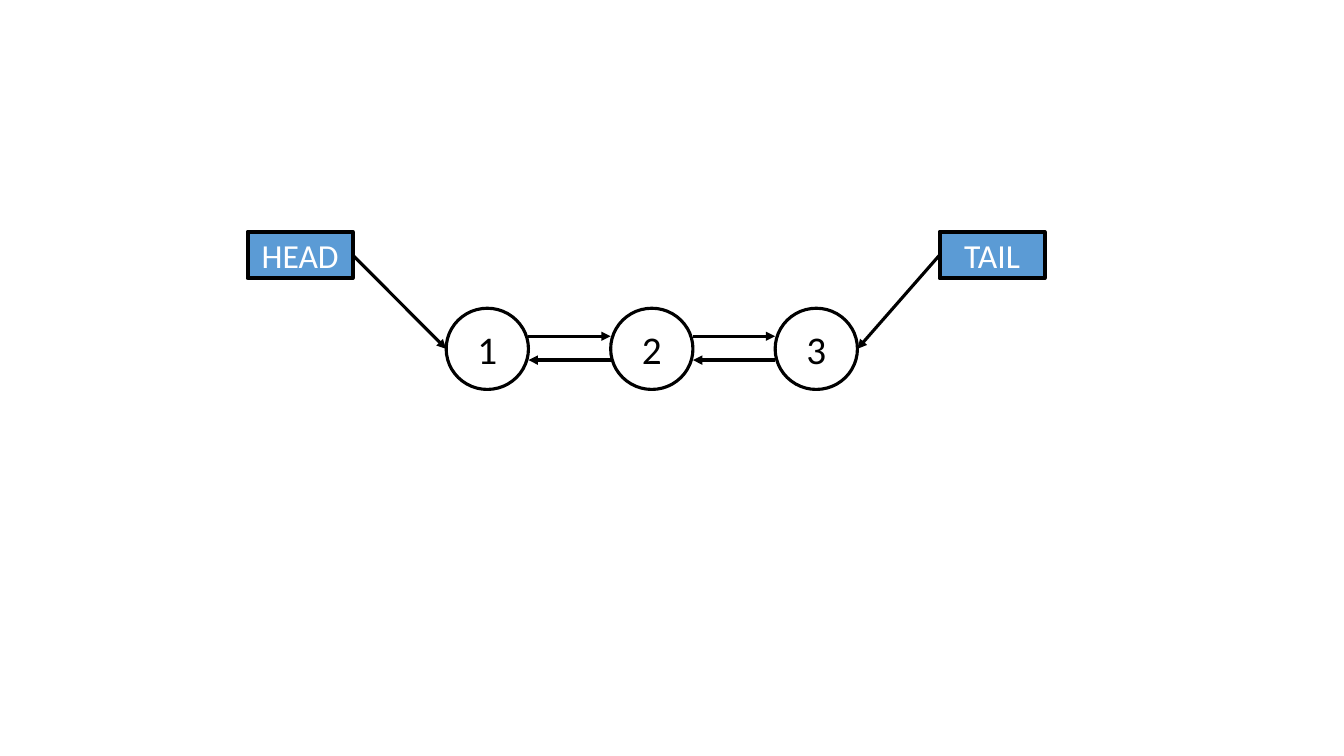
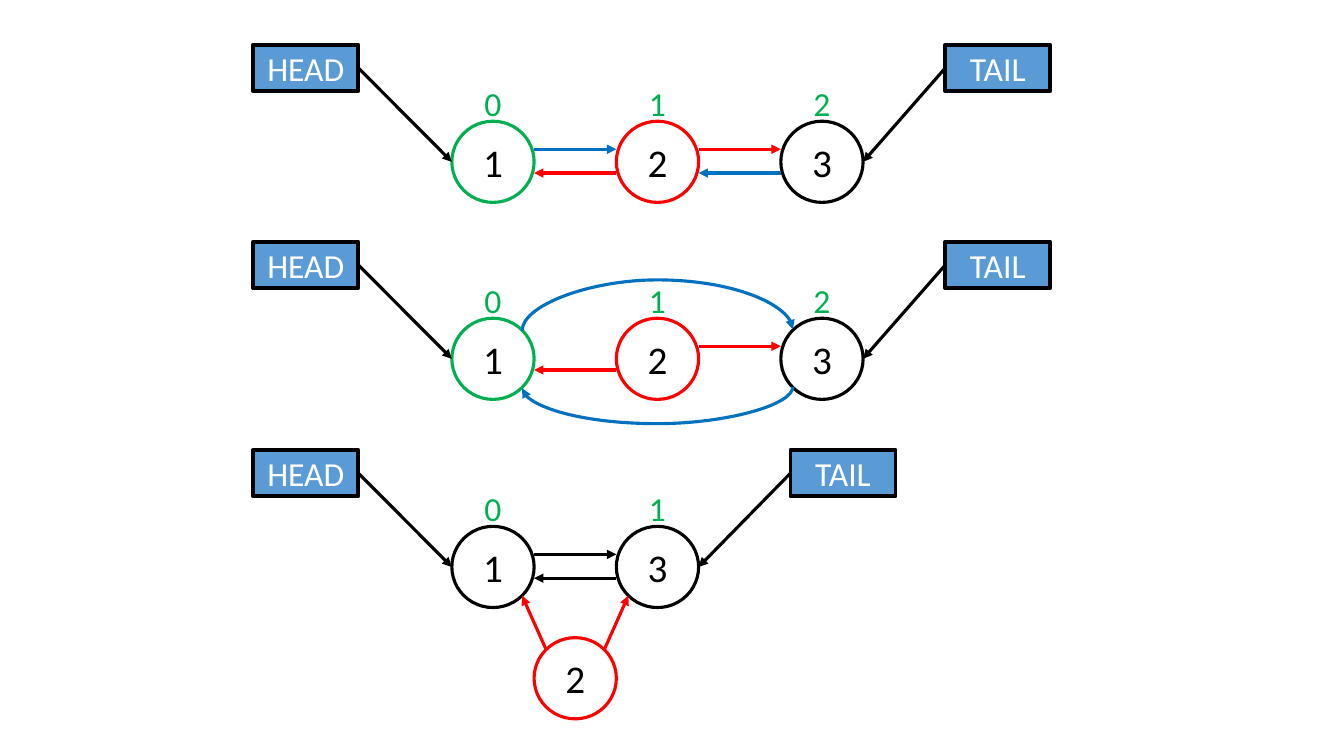
"""Draw a doubly linked list and the removal of its middle node."""
from dataclasses import dataclass

from lxml.etree import SubElement
from pptx import Presentation
from pptx.dml.color import RGBColor
from pptx.enum.shapes import MSO_CONNECTOR, MSO_SHAPE
from pptx.enum.text import MSO_ANCHOR, MSO_AUTO_SIZE, PP_ALIGN
from pptx.oxml.ns import qn
from pptx.util import Pt


@dataclass(frozen=True)
class Theme:
    """Colours, type sizes and line widths."""
    black: RGBColor = RGBColor(0, 0, 0)
    white: RGBColor = RGBColor(255, 255, 255)
    red: RGBColor = RGBColor.from_string("FF0000")
    green: RGBColor = RGBColor.from_string("00B050")
    blue: RGBColor = RGBColor.from_string("0070C0")
    box_fill: RGBColor = RGBColor.from_string("5B9BD5")
    font: str = "Calibri"
    node_size: int = 28
    label_size: int = 24
    line: float = 2.25
    box_line: float = 2.75


T = Theme()
NODE_W, NODE_H = 58.75, 58
PITCH = 2 * NODE_W
CORNER = 0.146
NEXT_Y, PREV_Y = 20, 37
BOX_W, BOX_H, BOX_RISE = 75, 33.3, 54.7
HEAD_GAP, TAIL_GAP = 66.8, 58.75
INDEX_W, INDEX_H, INDEX_RISE = 38.2, 36.35, 31.2


def write(shape, text, size, color):
    """Put one centred line of text in a shape."""
    tf = shape.text_frame
    tf.word_wrap = True
    p = tf.paragraphs[0]
    p.text = text
    p.alignment = PP_ALIGN.CENTER
    p.font.name, p.font.size = T.font, Pt(size)
    p.font.color.rgb = color
    return tf


def outlined(s, kind, x, y, w, h, color, width):
    """Add an unfilled preset shape with an outline."""
    sp = s.shapes.add_shape(kind, Pt(x), Pt(y), Pt(w), Pt(h))
    sp.shadow.inherit = False
    sp.fill.background()
    sp.line.color.rgb, sp.line.width = color, Pt(width)
    return sp


def node(s, x, y, text, color=T.black):
    """Add a round list node."""
    sp = outlined(s, MSO_SHAPE.OVAL, x, y, NODE_W, NODE_H, color, T.line)
    write(sp, text, T.node_size, T.black).vertical_anchor = MSO_ANCHOR.MIDDLE


def pointer_box(s, x, y, text):
    """Add a filled HEAD or TAIL box."""
    sp = outlined(s, MSO_SHAPE.RECTANGLE, x, y, BOX_W, BOX_H, T.black, T.box_line)
    sp.fill.solid()
    sp.fill.fore_color.rgb = T.box_fill
    write(sp, text, T.label_size, T.white).vertical_anchor = MSO_ANCHOR.MIDDLE


def index_label(s, x, y, text):
    """Add an index centred above the node at x, y."""
    left = x + (NODE_W - INDEX_W) / 2
    tb = s.shapes.add_textbox(Pt(left), Pt(y - INDEX_RISE), Pt(INDEX_W), Pt(INDEX_H))
    write(tb, text, T.label_size, T.green).auto_size = MSO_AUTO_SIZE.SHAPE_TO_FIT_TEXT


def arrow(s, start, end, color=T.black, kind=MSO_CONNECTOR.STRAIGHT):
    """Add a connector with an arrowhead at its end."""
    c = s.shapes.add_connector(kind, *map(Pt, (*start, *end)))
    c.line.color.rgb, c.line.width = color, Pt(T.line)
    spPr = c._element.spPr
    SubElement(spPr.find(qn("a:ln")), qn("a:tailEnd"), type="triangle")
    SubElement(spPr, qn("a:effectLst"))
    return c


def arc(s, x0, x1, y, bend):
    """Add a curved arrow that bends up going right and down going left."""
    mid, half = (x0 + x1) / 2, (x1 - x0) / 2
    side = 0.5 if half > 0 else -0.5
    c = arrow(s, (mid + side, y + half), (mid - side, y - half), T.blue, MSO_CONNECTOR.CURVE)
    spPr = c._element.spPr
    spPr.find(qn("a:xfrm")).set("rot", "5400000")
    av = spPr.find(qn("a:prstGeom")).get_or_add_avLst()
    SubElement(av, qn("a:gd"), name="adj1", fmla=f"val {round(bend * 100000)}")


def corner(x, y, right, bottom):
    """Return a diagonal point on the rim of the node at x, y."""
    fx = 1 - CORNER if right else CORNER
    fy = 1 - CORNER if bottom else CORNER
    return x + fx * NODE_W, y + fy * NODE_H


def linked_list(s, x, y, nodes, nexts, prevs, indexed=True, tail_gap=TAIL_GAP):
    """Draw nodes, their links (None skips one) and the HEAD and TAIL boxes."""
    for i, (text, color) in enumerate(nodes):
        node(s, x + i * PITCH, y, text, color)
        if indexed:
            index_label(s, x + i * PITCH, y, str(i))
    for i, (ahead, back) in enumerate(zip(nexts, prevs)):
        left = x + i * PITCH + NODE_W
        right = x + (i + 1) * PITCH
        if ahead is not None:
            arrow(s, (left, y + NEXT_Y), (right, y + NEXT_Y), ahead)
        if back is not None:
            arrow(s, (right, y + PREV_Y), (left, y + PREV_Y), back)
    end = x + (len(nodes) - 1) * PITCH + NODE_W
    top = y - BOX_RISE
    box_mid, node_mid = top + BOX_H / 2, y + NODE_H / 2
    pointer_box(s, x - HEAD_GAP - BOX_W, top, "HEAD")
    arrow(s, (x - HEAD_GAP, box_mid), (x, node_mid))
    pointer_box(s, end + tail_gap, top, "TAIL")
    arrow(s, (end + tail_gap, box_mid), (end, node_mid))


def list_slide(s):
    """Draw the plain three-node list."""
    nodes = [(text, T.black) for text in "123"]
    linked_list(s, 318.7, 220.2, nodes, [T.black] * 2, [T.black] * 2, indexed=False)


def removal_slide(s):
    """Draw the three steps of removing the middle node."""
    x, marked_y, bypass_y, result_y = 322.75, 86.6, 227.3, 376
    nodes = [("1", T.green), ("2", T.red), ("3", T.black)]
    linked_list(s, x, marked_y, nodes, [T.blue, T.red], [T.red, T.blue])

    linked_list(s, x, bypass_y, nodes, [None, T.red], [T.red, None])
    last_x = x + 2 * PITCH
    x0, top = corner(x, bypass_y, right=True, bottom=False)
    x1, bottom = corner(last_x, bypass_y, right=False, bottom=True)
    arc(s, x0, x1, top, 36.6)
    arc(s, x1, x0, bottom, 26.5)

    linked_list(s, x, result_y, [("1", T.black), ("3", T.black)],
                [T.black], [T.black], tail_gap=65.7)
    removed_x, removed_y = x + NODE_W, result_y + 79.5
    node(s, removed_x, removed_y, "2", T.red)
    for right, target_x in ((False, x), (True, x + PITCH)):
        arrow(s, corner(removed_x, removed_y, right, False),
              corner(target_x, result_y, not right, True), T.red)


def main():
    """Build and save the presentation."""
    prs = Presentation()
    prs.slide_width, prs.slide_height = Pt(960), Pt(540)
    for draw in (list_slide, removal_slide):
        draw(prs.slides.add_slide(prs.slide_layouts[6]))
    prs.save("out.pptx")


if __name__ == "__main__":
    main()
